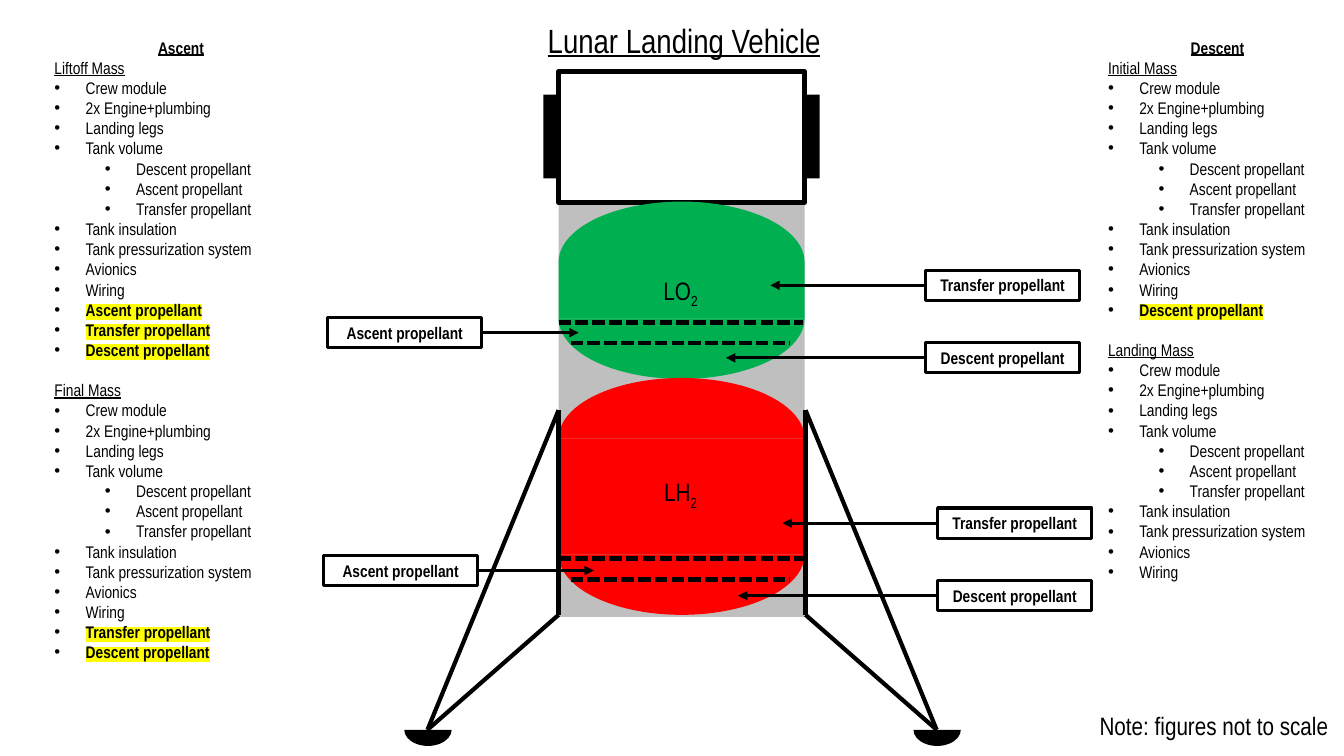
from typing import NamedTuple

from lxml.etree import SubElement
from pptx import Presentation
from pptx.dml.color import RGBColor
from pptx.enum.dml import MSO_LINE
from pptx.enum.shapes import MSO_CONNECTOR, MSO_SHAPE
from pptx.enum.text import MSO_ANCHOR, MSO_AUTO_SIZE, PP_ALIGN
from pptx.oxml.ns import qn
from pptx.util import Emu, Pt

BLACK = RGBColor(0x00, 0x00, 0x00)
WHITE = RGBColor(0xFF, 0xFF, 0xFF)
GREY = RGBColor(0xBF, 0xBF, 0xBF)
GREEN = RGBColor(0x00, 0xB0, 0x50)
RED = RGBColor(0xFF, 0x00, 0x00)
YELLOW = RGBColor(0xFF, 0xFF, 0x00)
FONT = "Arial Narrow"
PIXEL = 9144
HALF_TURN = 108
UPPER_HALF = (HALF_TURN, 0)
LOWER_HALF = (0, HALF_TURN)

PROPELLANTS = ["Descent propellant", "Ascent propellant", "Transfer propellant"]
DRY_PARTS = (
    [(0, part) for part in ("Crew module", "2x Engine+plumbing", "Landing legs", "Tank volume")]
    + [(1, part) for part in PROPELLANTS]
    + [(0, part) for part in ("Tank insulation", "Tank pressurization system", "Avionics", "Wiring")]
)


class Box(NamedTuple):
    left: int
    top: int
    width: int
    height: int

    def inner(self, left, top, width, height):
        return Box(self.left + left, self.top + top, width, height)

    def emu(self):
        return [Emu(value * PIXEL) for value in self]


def place(shape, box):
    shape.left, shape.top, shape.width, shape.height = box.emu()


def add_block(page, box, fill=None, kind=MSO_SHAPE.RECTANGLE, outline=None):
    block = page.shapes.add_shape(kind, *box.emu())
    block.shadow.inherit = False
    if fill is None:
        block.fill.background()
    else:
        block.fill.solid()
        block.fill.fore_color.rgb = fill
    if outline is None:
        block.line.fill.background()
    else:
        block.line.color.rgb = BLACK
        block.line.width = Pt(outline)
    return block


def add_half(page, box, fill, angles):
    half = add_block(page, box, fill, MSO_SHAPE.PIE)
    half.adjustments[0], half.adjustments[1] = angles


def add_line(page, start, end, width=3, dashed=False, arrow=False):
    ends = [Emu(value * PIXEL) for value in (*start, *end)]
    line = page.shapes.add_connector(MSO_CONNECTOR.STRAIGHT, *ends)
    line.line.color.rgb = BLACK
    line.line.width = Pt(width)
    if dashed:
        line.line.dash_style = MSO_LINE.SQUARE_DOT
    properties = line._element.spPr
    if arrow:
        SubElement(properties.find(qn("a:ln")), qn("a:tailEnd"), type="triangle")
    SubElement(properties, qn("a:effectLst"))


def style(para, size, bold=False, underline=False):
    font = para.font
    font.name, font.size, font.bold, font.underline = FONT, Pt(size), bold, underline
    font.color.rgb = BLACK


def write_line(shape, spans, size, bold=False, underline=False):
    frame = shape.text_frame
    frame.auto_size = MSO_AUTO_SIZE.NONE
    frame.word_wrap = False
    frame.vertical_anchor = MSO_ANCHOR.MIDDLE
    para = frame.paragraphs[0]
    para.alignment = PP_ALIGN.CENTER
    style(para, size, bold, underline)
    for text in spans:
        para.add_run().text = text
    return para


def add_text(page, box, spans, size):
    return write_line(page.shapes.add_textbox(*box.emu()), spans, size)


def add_list_line(frame, text, level=None, bold=False, underline=False, marked=False):
    para = frame.paragraphs[0] if not frame.text else frame.add_paragraph()
    para.space_before = Pt(0)
    properties = para._p.get_or_add_pPr()
    if level is None:
        properties.set("marL", "0")
        properties.set("indent", "0")
        SubElement(properties, qn("a:buNone"))
    else:
        para.level = level
        properties.set("marL", str((31 + 50 * level) * PIXEL))
        properties.set("indent", str(-31 * PIXEL))
        SubElement(properties, qn("a:buFont"), typeface="Arial")
        SubElement(properties, qn("a:buChar"), char="•")
    style(para, 12, bold, underline)
    span = para.add_run()
    span.text = text
    if marked:
        highlight = SubElement(span._r.get_or_add_rPr(), qn("a:highlight"))
        SubElement(highlight, qn("a:srgbClr"), val=str(YELLOW))
    return para


def fill_mass_list(body, box, heading, phases):
    place(body, box)
    frame = body.text_frame
    frame.auto_size = MSO_AUTO_SIZE.NONE
    frame.word_wrap = True
    frame.vertical_anchor = MSO_ANCHOR.TOP
    add_list_line(frame, heading, bold=True, underline=True).alignment = PP_ALIGN.CENTER
    for number, (phase, remaining) in enumerate(phases):
        title = add_list_line(frame, phase, underline=True)
        title.space_before = Pt(14.4 * number)
        for level, part in DRY_PARTS:
            add_list_line(frame, part, level)
        for propellant in remaining:
            add_list_line(frame, propellant, 0, bold=True, marked=True)


def add_tank(page, box, fill, symbol, label_top, levels):
    dome = 120
    add_half(page, box.inner(0, 0, box.width, dome), fill, UPPER_HALF)
    add_half(page, box.inner(0, box.height - dome, box.width, dome), fill, LOWER_HALF)
    add_block(page, box.inner(0, dome // 2, box.width, box.height - dome), fill)
    label = add_text(page, box.inner(90, label_top, 62, 40), [symbol, "2"], 18)
    label.runs[1].font._element.set("baseline", "-25000")
    for inset, level in zip((0, 12), levels):
        height = box.top + level
        add_line(page, (box.left + inset, height), (box.left + box.width - 2 - inset, height), dashed=True)


def add_leg(page, hip, foot, top, bottom, ground):
    add_line(page, (hip, top), (foot, ground))
    add_line(page, (hip, bottom), (foot, ground))
    add_line(page, (hip, top), (hip, bottom))
    add_half(page, Box(foot - 23, ground - 16, 47, 32), BLACK, LOWER_HALF)


def add_callout(page, box, text, tip):
    label = add_block(page, box, outline=2.25)
    write_line(label, [text], 12, bold=True)
    edge = box.left if tip < box.left else box.left + box.width
    middle = box.top + box.height // 2
    add_line(page, (edge, middle), (tip, middle), 2.25, arrow=True)


def add_vehicle(page, box):
    add_block(page, box.inner(0, 130, box.width, 411), GREY)
    for left in (-15, box.width):
        add_block(page, box.inner(left, 23, 15, 83), BLACK)
    add_block(page, box.inner(0, 0, box.width, 130), WHITE, outline=3)
    add_tank(page, box.inner(0, 129, box.width, 176), GREEN, "LO", 70, (120, 140))
    add_tank(page, box.inner(0, 304, box.width, 235), RED, "LH", 95, (179, 200))
    right = box.left + box.width
    for hip, foot in ((box.left, box.left - 130), (right + 1, right + 131)):
        add_leg(page, hip, foot, box.top + 336, box.top + 539, box.top + 653)


def add_callouts(page, box, ascent_left, ascent_tip):
    size = (153, 30)
    add_callout(page, Box(ascent_left, box.top + 47, *size), "Ascent propellant", ascent_tip)
    add_callout(page, box.inner(0, 0, *size), "Transfer propellant", box.left - 154)
    add_callout(page, box.inner(0, 72, *size), "Descent propellant", box.left - 198)


def main():
    deck = Presentation()
    deck.slide_width, deck.slide_height = Emu(1333 * PIXEL), Emu(750 * PIXEL)
    page = deck.slides.add_slide(deck.slide_layouts[3])
    title, descent, ascent = page.placeholders
    place(title, Box(531, 15, 295, 50))
    write_line(title, ["Lunar Landing Vehicle"], 24, underline=True)
    add_vehicle(page, Box(554, 71, 244, 653))
    add_callouts(page, Box(918, 268, 153, 102), 325, 574)
    add_callouts(page, Box(930, 504, 153, 102), 321, 589)
    add_text(page, Box(1078, 700, 252, 40), ["Note: figures not to scale"], 18)
    fill_mass_list(descent, Box(1089, 32, 237, 576), "Descent", [
        ("Initial Mass", ["Descent propellant"]),
        ("Landing Mass", []),
    ])
    fill_mass_list(ascent, Box(44, 32, 271, 636), "Ascent", [
        ("Liftoff Mass", ["Ascent propellant", "Transfer propellant", "Descent propellant"]),
        ("Final Mass", ["Transfer propellant", "Descent propellant"]),
    ])
    deck.save("out.pptx")


if __name__ == "__main__":
    main()
